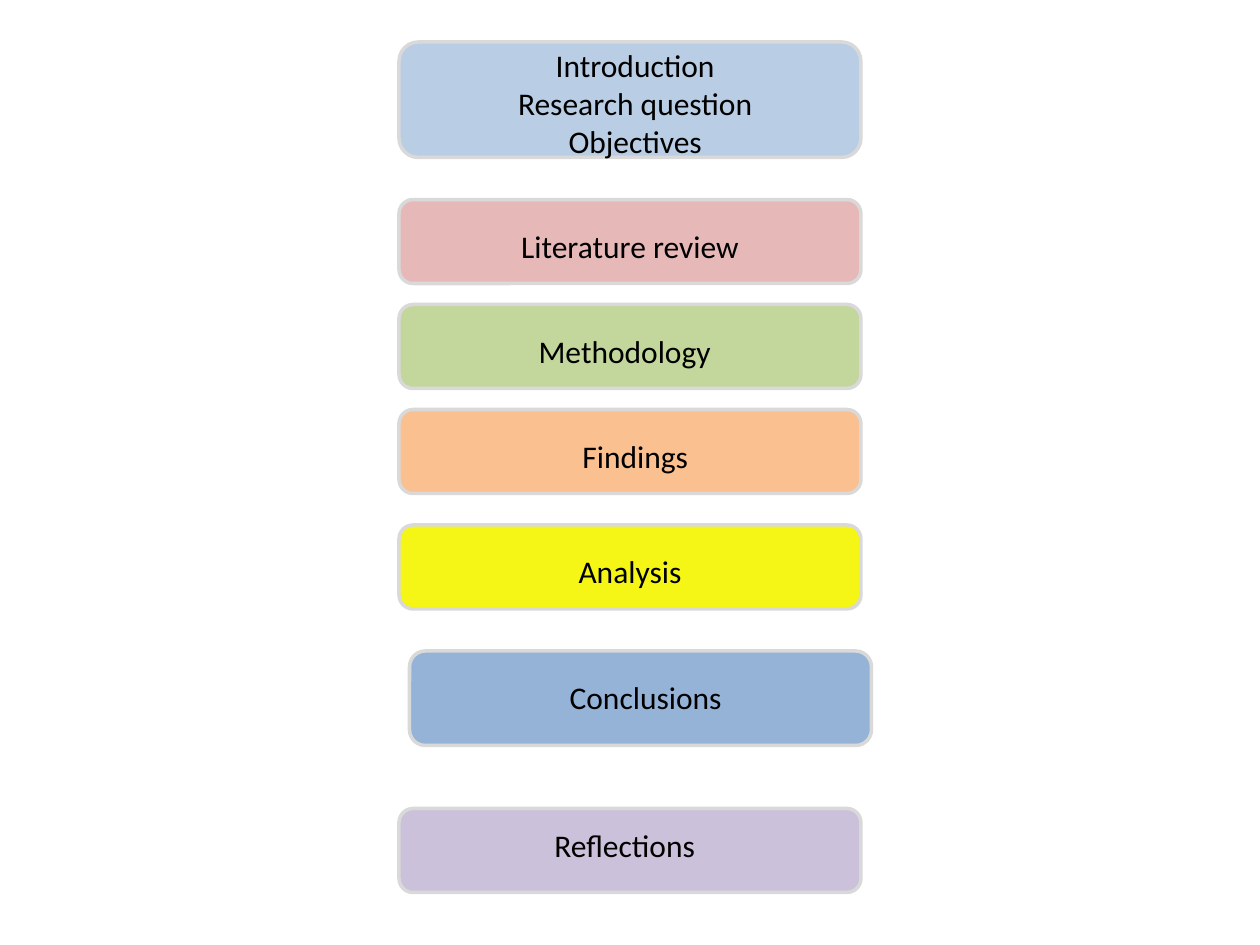
"""Build a slide of seven stacked boxes naming the sections of a report."""
import pptx
import pptx.dml.color
import pptx.enum.shapes
import pptx.enum.text
import pptx.util

Pt = pptx.util.Pt


def rgb(color):
    return pptx.dml.color.RGBColor.from_string(color)


prs = pptx.Presentation()
prs.slide_width, prs.slide_height = Pt(720), Pt(540)
s = prs.slides.add_slide(prs.slide_layouts[6])

sections = [
    (["Introduction", "Research question", "Objectives"], "B9CDE5",
     (228, 24, 66), (240, 23, 246, 72.7)),
    (["Literature review"], "E6B9B8", (228, 114, 48), (234, 126, 252, 30)),
    (["Methodology"], "C3D69B", (228, 174, 48), (234, 186, 246, 29)),
    (["Findings"], "FAC090", (228, 234, 48), (252, 246, 222, 29)),
    (["Analysis"], "F6F616", (228, 300, 48), (234, 312, 252, 30)),
    (["Conclusions"], "95B3D7", (234, 372, 54), (246, 384, 246, 30)),
    (["Reflections"], "CCC1DA", (228, 462, 48), (246, 468.7, 222, 29)),
]

for lines, color, (left, top, height), label in sections:
    box = s.shapes.add_shape(pptx.enum.shapes.MSO_SHAPE.ROUNDED_RECTANGLE,
                             Pt(left), Pt(top), Pt(264), Pt(height))
    box.shadow.inherit = False
    box.fill.solid()
    box.fill.fore_color.rgb = rgb(color)
    box.line.color.rgb = rgb("D9D9D9")
    box.line.width = Pt(2)

    tf = s.shapes.add_textbox(*map(Pt, label)).text_frame
    tf.word_wrap = True
    tf.auto_size = pptx.enum.text.MSO_AUTO_SIZE.SHAPE_TO_FIT_TEXT
    tf.text = "\n".join(lines)
    for p in tf.paragraphs:
        p.alignment = pptx.enum.text.PP_ALIGN.CENTER
        p.font.name = "Calibri"
        p.font.size = Pt(18)
        p.font.color.rgb = rgb("000000")

prs.save("out.pptx")
